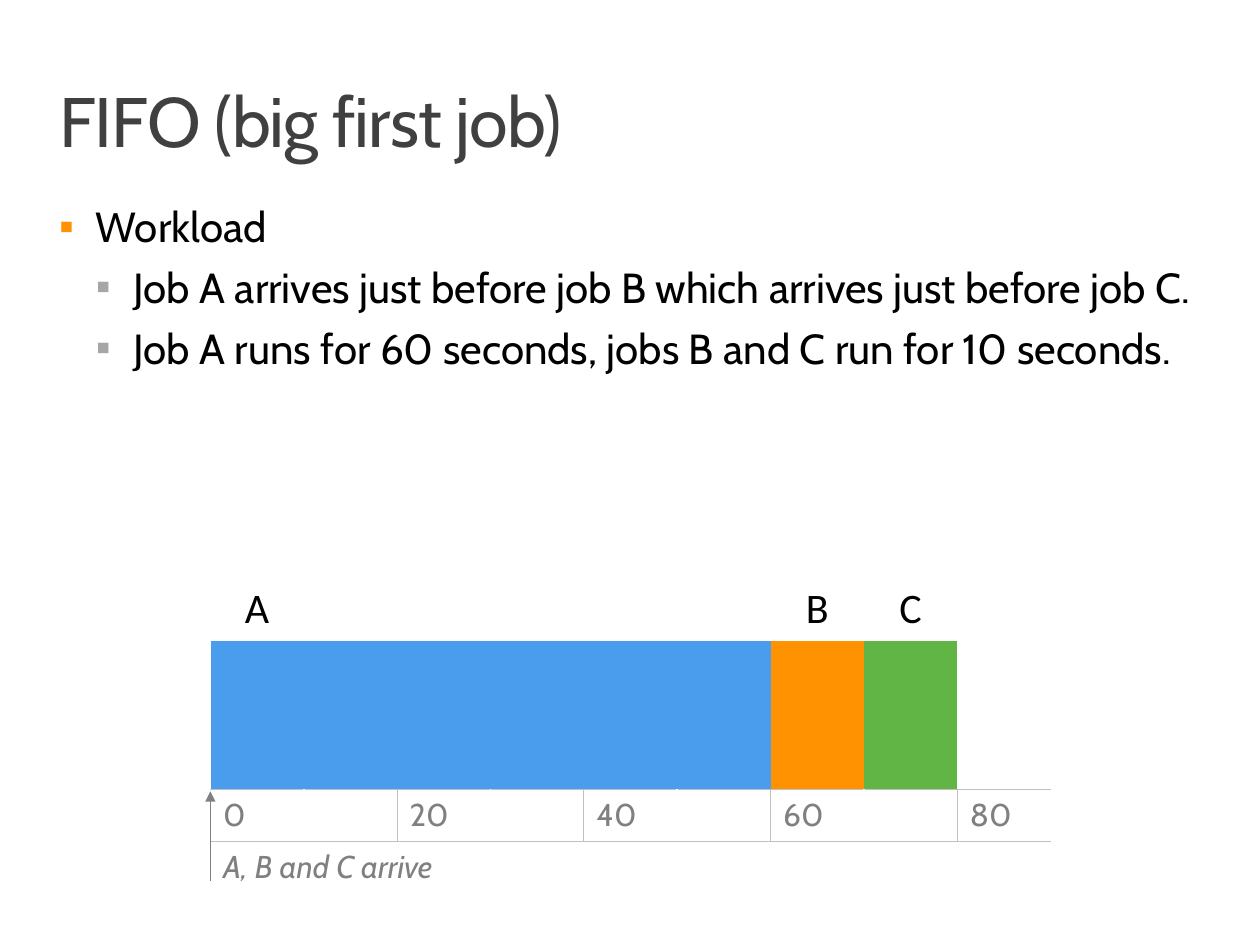
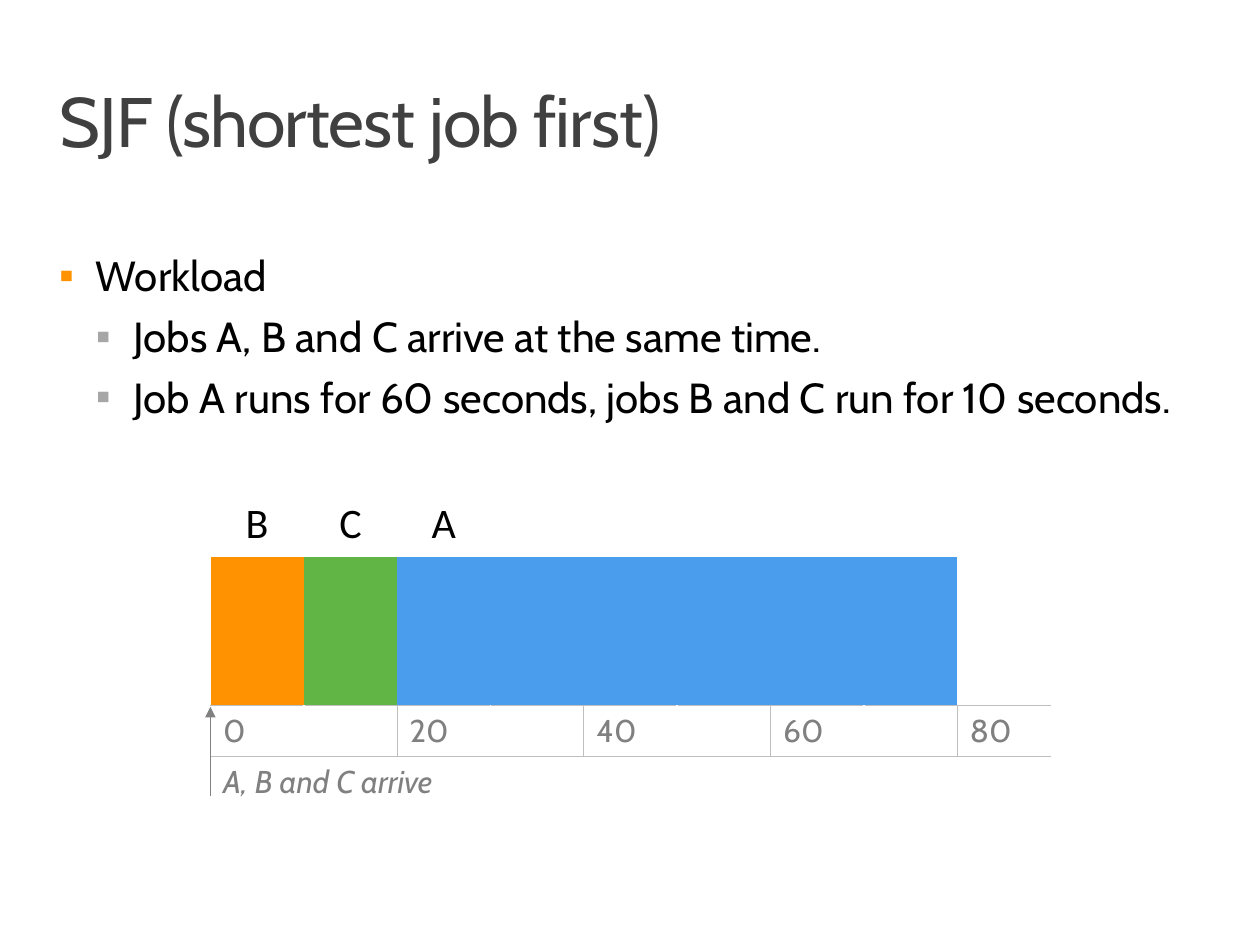
import pptx
import pptx.util
import pptx.dml.color
import pptx.enum.shapes
import pptx.enum.text
import pptx.oxml.ns
import lxml.etree

Inches, Pt = pptx.util.Inches, pptx.util.Pt
qn = pptx.oxml.ns.qn

# Shared look
FONT, LABEL_FONT = "Cabin", "Calibri"
BLACK, WHITE = "000000", "FFFFFF"
TITLE_GREY, AXIS_GREY, RULE_GREY, SUB_BULLET = "404040", "808080", "BFBFBF", "A6A6A6"
ORANGE = "FF9200"
JOB_COLORS = {"A": "499DEC", "B": ORANGE, "C": "61B545"}
LEFT, WIDTH = 0.47, 9.06
NO_STYLE = "{2D5ABB26-0587-4C30-8999-92F81FD0307C}"

# Timeline: one column stands for ten seconds
COLUMNS, TICK_EVERY = 9, 2
TIMELINE_LEFT, TIMELINE_WIDTH = 1.67, 6.67
ROW_HEIGHTS = (0.41, 1.18, 0.41, 0.41)
LABELS, BARS, AXIS, NOTE = range(4)


def rgb(color):
    return pptx.dml.color.RGBColor.from_string(color)


def add_xml(parent, tag, **attributes):
    return lxml.etree.SubElement(parent, qn(tag), attributes)


def format_runs(p, size, color, font=FONT, italic=None):
    for r in p.runs:
        r.font.size = Pt(size)
        r.font.name = font
        r.font.color.rgb = rgb(color)
        r.font.italic = italic


def place_text(sp, top, height, inset_top=0):
    sp.left, sp.top = Inches(LEFT), Inches(top)
    sp.width, sp.height = Inches(WIDTH), Inches(height)
    tf = sp.text_frame
    tf.margin_left = tf.margin_right = tf.margin_bottom = 0
    tf.margin_top = Inches(inset_top)
    tf.vertical_anchor = pptx.enum.text.MSO_ANCHOR.TOP
    tf.auto_size = pptx.enum.text.MSO_AUTO_SIZE.NONE
    return tf


def add_title(s, text):
    tf = place_text(s.shapes.title, 0.7, 0.89, 0.04)
    tf.text = text
    p = tf.paragraphs[0]
    p.alignment = pptx.enum.text.PP_ALIGN.LEFT
    p.line_spacing = 0.8
    format_runs(p, 40, TITLE_GREY)
    for r in p.runs:
        r.font._element.set("spc", "-50")


def add_bullets(s, top, heading, points):
    tf = place_text(s.placeholders[1], top, 1.7)
    tf.text = "\n".join([heading] + points)
    for i, p in enumerate(tf.paragraphs):
        p.level = min(i, 1)
        indent, space, color = (0.59, 6, SUB_BULLET) if i else (0.29, 18, ORANGE)
        p.space_before = Pt(space)
        pPr = p._p.get_or_add_pPr()
        pPr.set("marL", str(Inches(indent)))
        pPr.set("indent", str(-Inches(0.3 if i else 0.29)))
        add_xml(add_xml(pPr, "a:buClr"), "a:srgbClr", val=color)
        add_xml(pPr, "a:buChar", char="▪")
        format_runs(p, 24, BLACK)


def cell_borders(row, col):
    """Border colours of a timeline cell, by side."""
    sides = {"L": None, "R": None, "T": None, "B": None}
    if row == AXIS:
        for side, edge in (("L", col), ("R", col + 1)):
            sides[side] = RULE_GREY if edge and edge % TICK_EVERY == 0 else WHITE
        sides["T"] = RULE_GREY
    if row == BARS:
        sides["B"] = RULE_GREY
    if col == 0:
        sides["L"] = WHITE
    if col == COLUMNS - 1:
        sides["R"] = WHITE
    if row == LABELS:
        sides["T"] = WHITE
    if row == NOTE:
        sides["B"] = WHITE
    return sides


def draw_borders(cell, sides):
    tcPr = cell._tc.get_or_add_tcPr()
    for side, color in sides.items():
        if color:
            width = Pt(0.5 if color == RULE_GREY else 1)
            ln = add_xml(tcPr, f"a:ln{side}", w=str(width))
            add_xml(add_xml(ln, "a:solidFill"), "a:srgbClr", val=color)


def write_cell(cell, text, size, color, **style):
    cell.text_frame.text = text
    format_runs(cell.text_frame.paragraphs[0], size, color, **style)


def add_timeline(s, top, schedule, merged=None):
    """schedule: (job, columns) in running order; merged: bar columns joined."""
    frame = s.shapes.add_table(len(ROW_HEIGHTS), COLUMNS, Inches(TIMELINE_LEFT), Inches(top),
                               Inches(TIMELINE_WIDTH), Inches(sum(ROW_HEIGHTS)))
    table = frame.table
    table.first_row = table.horz_banding = False
    table._tbl.tblPr.find(qn("a:tableStyleId")).text = NO_STYLE
    for column in table.columns:
        column.width = Inches(TIMELINE_WIDTH / COLUMNS)
    for row, height in enumerate(ROW_HEIGHTS):
        table.rows[row].height = Inches(height)
        for col in range(COLUMNS):
            cell = table.cell(row, col)
            cell.vertical_anchor = pptx.enum.text.MSO_ANCHOR.MIDDLE
            draw_borders(cell, cell_borders(row, col))
            cell.fill.background()

    # Job labels and bars
    start = 0
    for job, length in schedule:
        label = table.cell(LABELS, start)
        write_cell(label, job, 24, BLACK, font=LABEL_FONT)
        label.text_frame.paragraphs[0].alignment = pptx.enum.text.PP_ALIGN.CENTER
        for col in range(start, start + length):
            fill = table.cell(BARS, col).fill
            fill.solid()
            fill.fore_color.rgb = rgb(JOB_COLORS[job])
        start += length
    if merged:
        table.cell(BARS, merged[0]).merge(table.cell(BARS, merged[1]))

    # Seconds and arrival note
    for col in range(0, COLUMNS, TICK_EVERY):
        write_cell(table.cell(AXIS, col), str(col * 10), 18, AXIS_GREY)
    table.cell(NOTE, 0).merge(table.cell(NOTE, COLUMNS - 1))
    write_cell(table.cell(NOTE, 0), "A, B and C arrive", 18, AXIS_GREY, italic=True)


def add_arrival_arrow(s, bottom):
    x = Inches(TIMELINE_LEFT)
    line = s.shapes.add_connector(pptx.enum.shapes.MSO_CONNECTOR.STRAIGHT,
                                  x, Inches(bottom), x, Inches(bottom - 0.71))
    line.line.color.rgb = rgb(AXIS_GREY)
    line.line.width = Pt(0.75)
    add_xml(line.line._get_or_add_ln(), "a:tailEnd", type="triangle")
    add_xml(line._element.spPr, "a:effectLst")


def add_schedule_slide(prs, title, body_top, points, timeline_top, schedule, merged=None):
    s = prs.slides.add_slide(prs.slide_layouts[1])
    add_title(s, title)
    add_bullets(s, body_top, "Workload", points)
    add_timeline(s, timeline_top, schedule, merged)
    add_arrival_arrow(s, timeline_top + 2.41)


def main():
    prs = pptx.Presentation()
    prs.slide_width, prs.slide_height = Inches(10), Inches(7.5)
    run_times = "Job A runs for 60 seconds, jobs B and C run for 10 seconds."
    add_schedule_slide(
        prs, "FIFO (big first job)", 1.59,
        ["Job A arrives just before job B which arrives just before job C.", run_times],
        4.58, [("A", 6), ("B", 1), ("C", 1)], merged=(1, 5))
    add_schedule_slide(
        prs, "SJF (shortest job first)", 1.98,
        ["Jobs A, B and C arrive at the same time.", run_times],
        3.91, [("B", 1), ("C", 1), ("A", 6)])
    prs.save("out.pptx")


if __name__ == "__main__":
    main()
